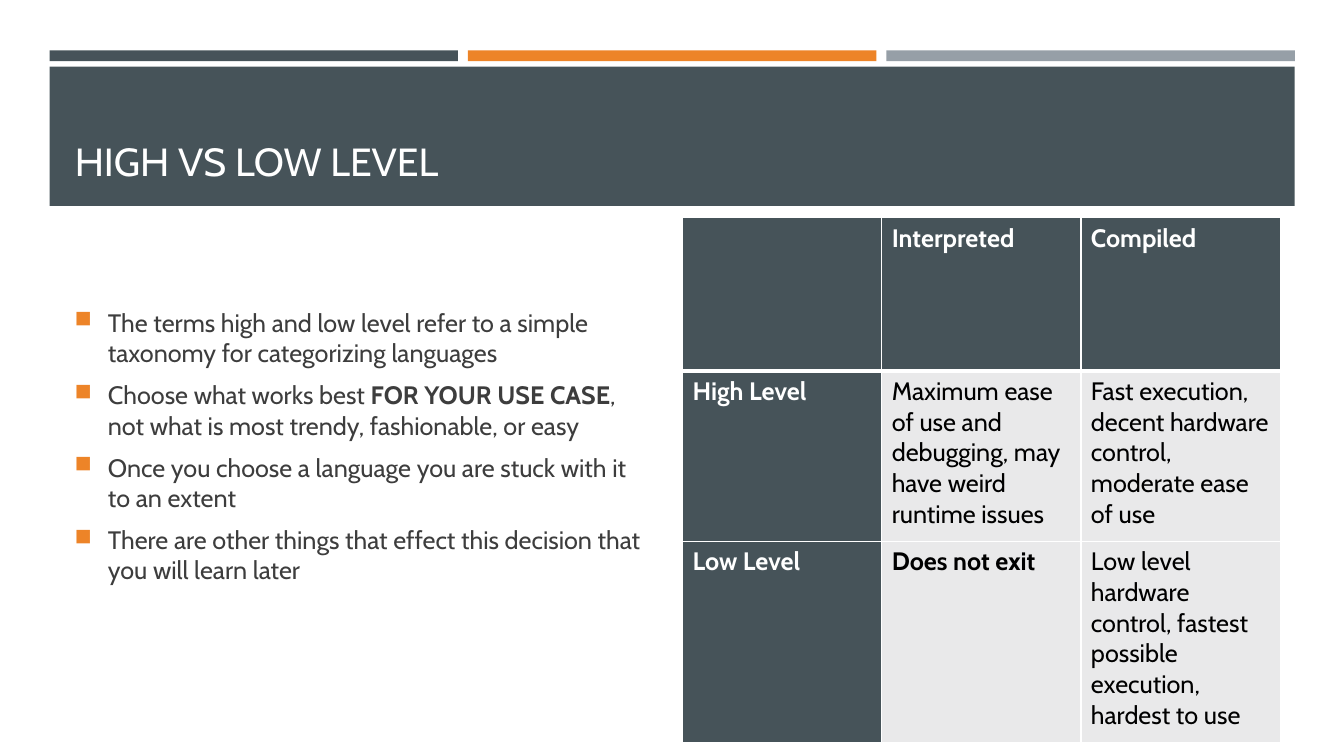
from lxml.etree import SubElement
from pptx import Presentation
from pptx.dml.color import RGBColor
from pptx.enum.shapes import MSO_SHAPE
from pptx.enum.text import MSO_ANCHOR, MSO_AUTO_SIZE, PP_ALIGN
from pptx.oxml.ns import qn
from pptx.util import Cm, Pt

FONT = "Cabin"
COLORS = {"slate": "465359", "orange": "ED8428", "gray": "969FA7",
          "white": "FFFFFF", "body": "3D3D3D", "black": "000000", "cell": "E9E9EA"}

# Each bullet is a list of (text, bold) runs
BULLETS = [
    [("The terms high and low level refer to a simple taxonomy for categorizing languages", False)],
    [("Choose what works best ", False), ("FOR YOUR USE CASE", True),
     (", not what is most trendy, fashionable, or easy", False)],
    [("Once you choose a language you are stuck with it to an extent", False)],
    [("There are other things that effect this decision that you will learn later", False)],
]
LEVELS = [
    ["", "Interpreted", "Compiled"],
    ["High Level", "Maximum ease of use and debugging, may have weird runtime issues",
     "Fast execution, decent hardware control, moderate ease of use"],
    ["Low Level", "Does not exit",
     "Low level hardware control, fastest possible execution, hardest to use"],
]
BOLD_CELLS = {"Does not exit"}


def rgb(name):
    return RGBColor.from_string(COLORS[name])


def style_run(r, size, color, bold=False):
    r.font.name = FONT
    r.font.size = Pt(size)
    r.font.bold = bold
    r.font.color.rgb = rgb(color)


def add_rect(slide, left, top, width, height, color):
    sp = slide.shapes.add_shape(MSO_SHAPE.RECTANGLE, Cm(left), Cm(top), Cm(width), Cm(height))
    sp.shadow.inherit = False
    sp.fill.solid()
    sp.fill.fore_color.rgb = rgb(color)
    sp.line.fill.background()


def add_header(slide, left, top, width, height):
    # Three accent bars above the title band
    gap, bar_height, band_top = 0.25, 0.27, 0.41
    bar_width = (width - 2 * gap) / 3
    for i, color in enumerate(["slate", "orange", "gray"]):
        add_rect(slide, left + i * (bar_width + gap), top, bar_width, bar_height, color)
    add_rect(slide, left, top + band_top, width, height - band_top, "slate")

    # Title, brought in front of the band
    title = slide.shapes.title
    title.left, title.top = Cm(left + 0.38), Cm(top + 0.76)
    title.width, title.height = Cm(width - 0.76), Cm(2.75)
    tf = title.text_frame
    tf.text = "HIGH VS LOW LEVEL"
    tf.auto_size = MSO_AUTO_SIZE.NONE
    tf.vertical_anchor = MSO_ANCHOR.BOTTOM
    p = tf.paragraphs[0]
    p.alignment = PP_ALIGN.LEFT
    style_run(p.runs[0], 28, "white")
    slide.shapes._spTree.append(title._element)


def set_bullet(p):
    pPr = p._p.get_or_add_pPr()
    pPr.set("marL", str(Cm(0.84)))
    pPr.set("indent", str(-Cm(0.84)))
    color = SubElement(pPr, qn("a:buClr"))
    SubElement(color, qn("a:srgbClr"), val=COLORS["orange"])
    SubElement(pPr, qn("a:buSzPct"), val="92000")
    SubElement(pPr, qn("a:buChar"), char="■")


def add_bullets(slide, left, top, width, height):
    tf = slide.shapes.add_textbox(Cm(left), Cm(top), Cm(width), Cm(height)).text_frame
    tf.word_wrap = True
    tf.vertical_anchor = MSO_ANCHOR.MIDDLE
    for i, runs in enumerate(BULLETS):
        p = tf.add_paragraph() if i else tf.paragraphs[0]
        p.space_before, p.space_after = Pt(2.5), Pt(6)
        set_bullet(p)
        for text, bold in runs:
            r = p.add_run()
            r.text = text
            style_run(r, 18, "body", bold)


def set_borders(cell, widths):
    tcPr = cell._tc.get_or_add_tcPr()
    for side, width in widths.items():
        ln = SubElement(tcPr, qn("a:ln" + side), w=str(Pt(width)))
        fill = SubElement(ln, qn("a:solidFill"))
        SubElement(fill, qn("a:srgbClr"), val=COLORS["white"])


def add_level_table(slide, left, top, width, row_heights):
    table = slide.shapes.add_table(len(LEVELS), len(LEVELS[0]), Cm(left), Cm(top),
                                   Cm(width), Cm(sum(row_heights))).table
    for row, height in zip(table.rows, row_heights):
        row.height = Cm(height)
    for column in table.columns:
        column.width = Cm(width / len(LEVELS[0]))
    for i, texts in enumerate(LEVELS):
        for j, text in enumerate(texts):
            cell = table.cell(i, j)
            heading = i == 0 or j == 0
            # The rule under the heading row is thicker
            set_borders(cell, {"L": 1, "R": 1, "T": 3 if i == 1 else 1, "B": 3 if i == 0 else 1})
            cell.fill.solid()
            cell.fill.fore_color.rgb = rgb("slate" if heading else "cell")
            cell.text = text
            for r in cell.text_frame.paragraphs[0].runs:
                style_run(r, 18, "white" if heading else "black", heading or text in BOLD_CELLS)


prs = Presentation()
prs.slide_width, prs.slide_height = Cm(33.87), Cm(19.05)
slide = prs.slides.add_slide(prs.slide_layouts[5])
add_header(slide, 1.25, 1.27, 31.38, 3.92)
add_bullets(slide, 1.63, 6.2, 15.06, 10.08)
add_level_table(slide, 17.2, 5.49, 15.06, [3.86, 4.29, 5.08])
prs.save("out.pptx")
